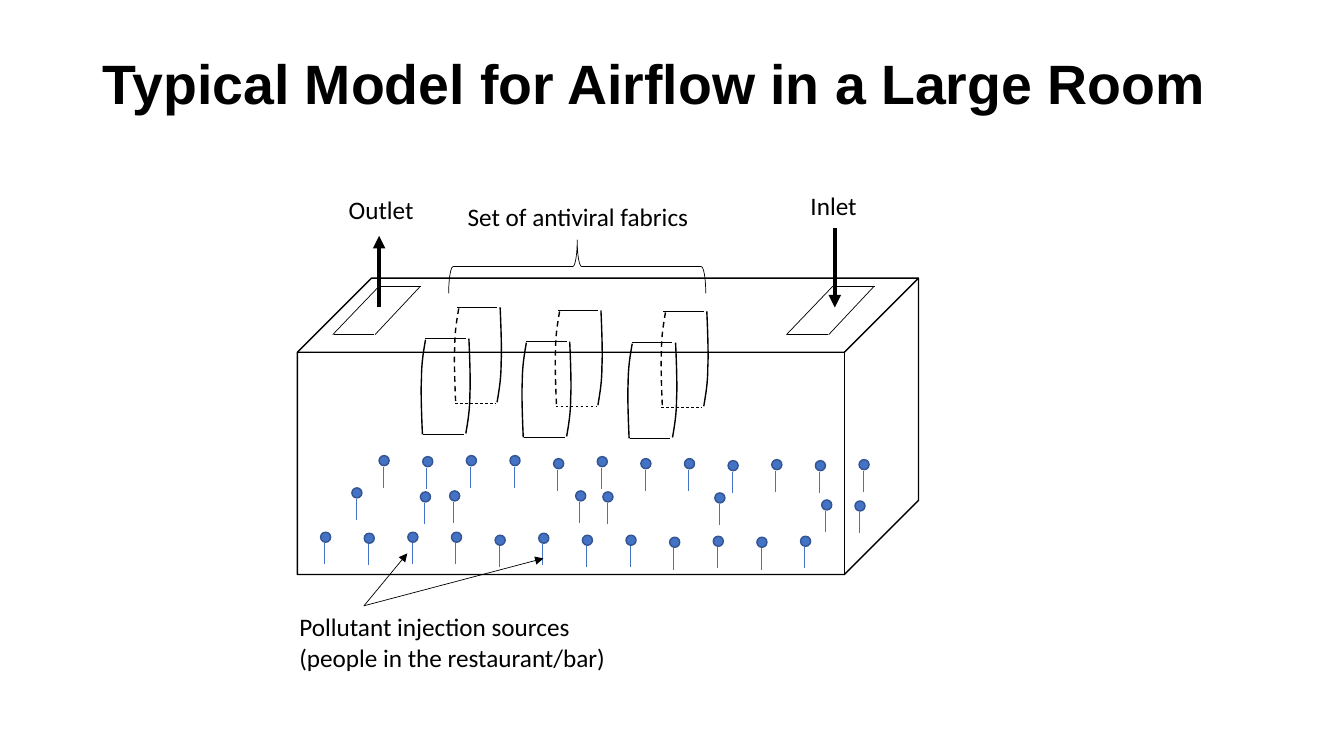
from lxml import etree
from pptx import Presentation
from pptx.dml.color import RGBColor
from pptx.enum.dml import MSO_LINE
from pptx.enum.shapes import MSO_CONNECTOR, MSO_SHAPE
from pptx.enum.text import MSO_ANCHOR, MSO_AUTO_SIZE, PP_ALIGN
from pptx.oxml.ns import qn
from pptx.util import Inches, Pt

STRAIGHT = MSO_CONNECTOR.STRAIGHT
CUBE, BRACE, OVAL = MSO_SHAPE.CUBE, MSO_SHAPE.RIGHT_BRACE, MSO_SHAPE.OVAL
DASH = MSO_LINE.DASH
COLORS = {"ink": "000000", "person": "4472C4", "person_edge": "325491"}

presentation = Presentation()
presentation.slide_width = Inches(13.33)
presentation.slide_height = Inches(7.5)
column = presentation.slide_width / 13.33
row = presentation.slide_height / 7.5
slide = presentation.slides.add_slide(presentation.slide_layouts[5])


def add_line(start, end, width=0.5, color="ink", dash=None, arrow=False):
    ends = [round(value * unit) for value, unit in zip(start + end, (column, row) * 2)]
    connector = slide.shapes.add_connector(STRAIGHT, *ends)
    connector.line.width = Pt(width)
    connector.line.color.rgb = RGBColor.from_string(COLORS[color])
    connector.line.dash_style = dash
    etree.SubElement(connector._element.spPr, qn("a:effectLst"))
    if arrow:
        etree.SubElement(connector.line._get_or_add_ln(), qn("a:tailEnd"), type="triangle")


def style_shape(shape, width, line="ink", fill=None):
    shape.shadow.inherit = False
    shape.line.width = Pt(width)
    shape.line.color.rgb = RGBColor.from_string(COLORS[line])
    if fill:
        shape.fill.solid()
        shape.fill.fore_color.rgb = RGBColor.from_string(COLORS[fill])
    else:
        shape.fill.background()


title = slide.shapes.title
title.left, title.top = round(0.92 * column), round(0.4 * row)
title.width, title.height = round(11.5 * column), round(0.91 * row)
title.text_frame.vertical_anchor = MSO_ANCHOR.MIDDLE
paragraph = title.text_frame.paragraphs[0]
paragraph.alignment = PP_ALIGN.LEFT
paragraph.line_spacing = 0.9
run = paragraph.add_run()
run.text = "Typical Model for Airflow in a Large Room"
run.font.name, run.font.size, run.font.bold = "Arial", Pt(39.6), True
run.font.color.rgb = RGBColor.from_string(COLORS["ink"])

for kind, left, top, width, height, weight, rotation in (
    (CUBE, 2.95, 2.76, 6.16, 2.94, 1, 0),
    (BRACE, 5.46, 1.37, 0.53, 2.55, 0.5, 270),
):
    shape = slide.shapes.add_shape(
        kind, round(left * column), round(top * row), round(width * column), round(height * row)
    )
    shape.rotation = rotation
    style_shape(shape, weight)

for vent_left in (3.3, 7.8):
    for start_x, start_y, end_x, end_y in (
        (0.46, 2.84, 0.88, 2.84),
        (0.46, 2.84, 0, 3.32),
        (0.01, 3.32, 0.41, 3.32),
        (0.87, 2.84, 0.42, 3.32),
    ):
        add_line((vent_left + start_x, start_y), (vent_left + end_x, end_y))

side_curve = (
    (0.05, 0), (0.03, 0.12), (0.01, 0.23), (0.01, 0.39),
    (0, 0.54), (0.02, 0.94), (0.02, 0.94),
)
for fabric_left, fabric_top in ((4.17, 3.36), (5.17, 3.39), (6.22, 3.4)):
    for shift_x, side_x, shift_y, dash in ((0, 0, 0, None), (0.31, 0.33, -0.31, DASH)):
        left, top = fabric_left + shift_x, fabric_top + shift_y
        add_line((left + 0.05, top), (left + 0.45, top))
        add_line((left + 0.03, top + 0.95), (left + 0.43, top + 0.95), dash=dash)
        for side_left, side_top, rotation, side_dash in (
            (fabric_left + side_x, top + 0.01, 0, dash),
            (left + 0.45, top, 180, None),
        ):
            points = [
                (round((side_left + x) * column), round((side_top + y) * row))
                for x, y in side_curve
            ]
            outline = slide.shapes.build_freeform(*points[0])
            outline.add_line_segments(points[1:], close=False)
            edge = outline.convert_to_shape()
            segments = list(edge._element.iter(qn("a:lnTo")))
            for first in range(0, len(segments), 3):
                curve = etree.SubElement(segments[first].getparent(), qn("a:cubicBezTo"))
                for segment in segments[first:first + 3]:
                    curve.append(segment[0])
                    segment.getparent().remove(segment)
            edge.rotation = rotation
            style_shape(edge, 1)
            edge.line.dash_style = side_dash

seat_heights = (5.39, 5.4, 5.39, 5.39, 5.42, 5.4, 5.42, 5.42, 5.44, 5.43, 5.44, 5.43)
front_row = [(3.22 + 4.76 / 11 * seat, y) for seat, y in enumerate(seat_heights)]
back_row = [(x + 0.58, y - 0.76) for x, y in front_row]
middle_row = [
    (3.53, 4.95), (4.21, 4.99), (4.5, 4.98), (5.75, 4.98),
    (6.02, 4.99), (8.52, 5.08), (8.19, 5.07), (7.13, 5),
]
for x, y in front_row + back_row + middle_row:
    add_line((x, y), (x, y + 0.21), color="person")
    head = slide.shapes.add_shape(
        OVAL, round((x - 0.04) * column), round((y - 0.11) * row), round(0.1 * column), round(0.1 * row)
    )
    style_shape(head, 1, "person_edge", "person")

for start, end, width in (
    ((3.76, 3.05), (3.76, 2.34), 3),
    ((8.28, 2.26), (8.28, 3.05), 3),
    ((3.61, 6.01), (4.04, 5.49), 0.5),
    ((3.61, 6.01), (5.39, 5.54), 0.5),
):
    add_line(start, end, width, arrow=True)

for left, top, width, height, text in (
    (7.94, 1.84, 0.75, 0.4, "Inlet"),
    (3.36, 1.88, 0.86, 0.4, "Outlet"),
    (4.54, 1.95, 3.03, 0.4, "Set of antiviral fabrics"),
    (2.87, 6.02, 3.58, 0.71, "Pollutant injection sources (people in the restaurant/bar)"),
):
    label = slide.shapes.add_textbox(
        round(left * column), round(top * row), round(width * column), round(height * row)
    )
    label.text_frame.word_wrap = True
    label.text_frame.auto_size = MSO_AUTO_SIZE.SHAPE_TO_FIT_TEXT
    run = label.text_frame.paragraphs[0].add_run()
    run.text = text
    run.font.name, run.font.size = "Calibri", Pt(18)
    run.font.color.rgb = RGBColor.from_string(COLORS["ink"])

presentation.save("out.pptx")
